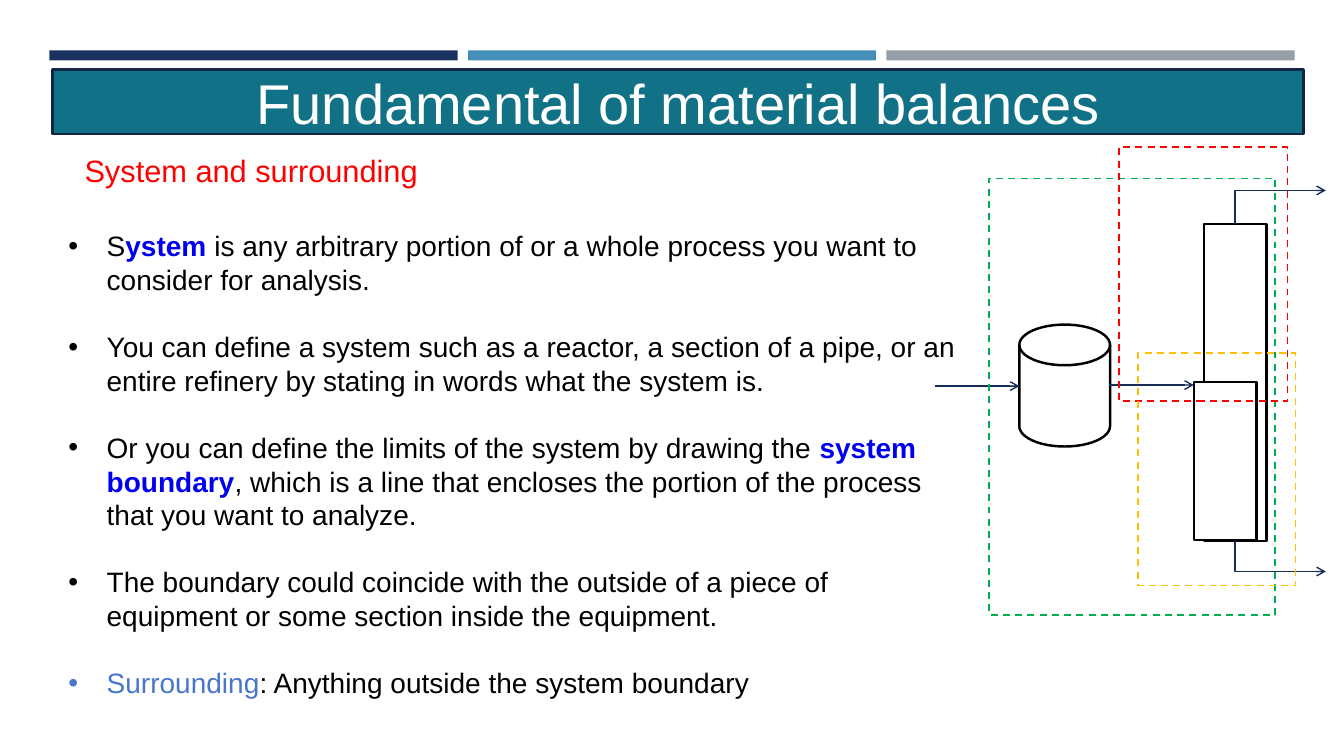
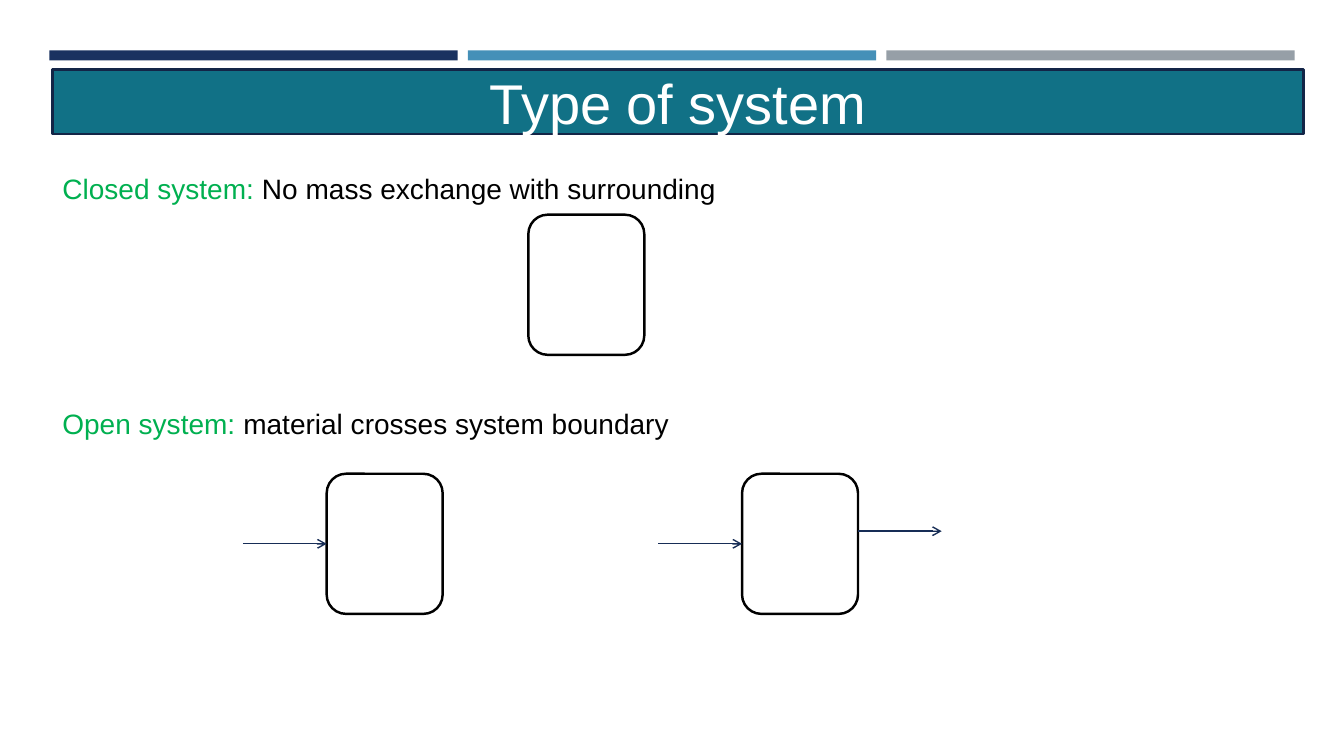
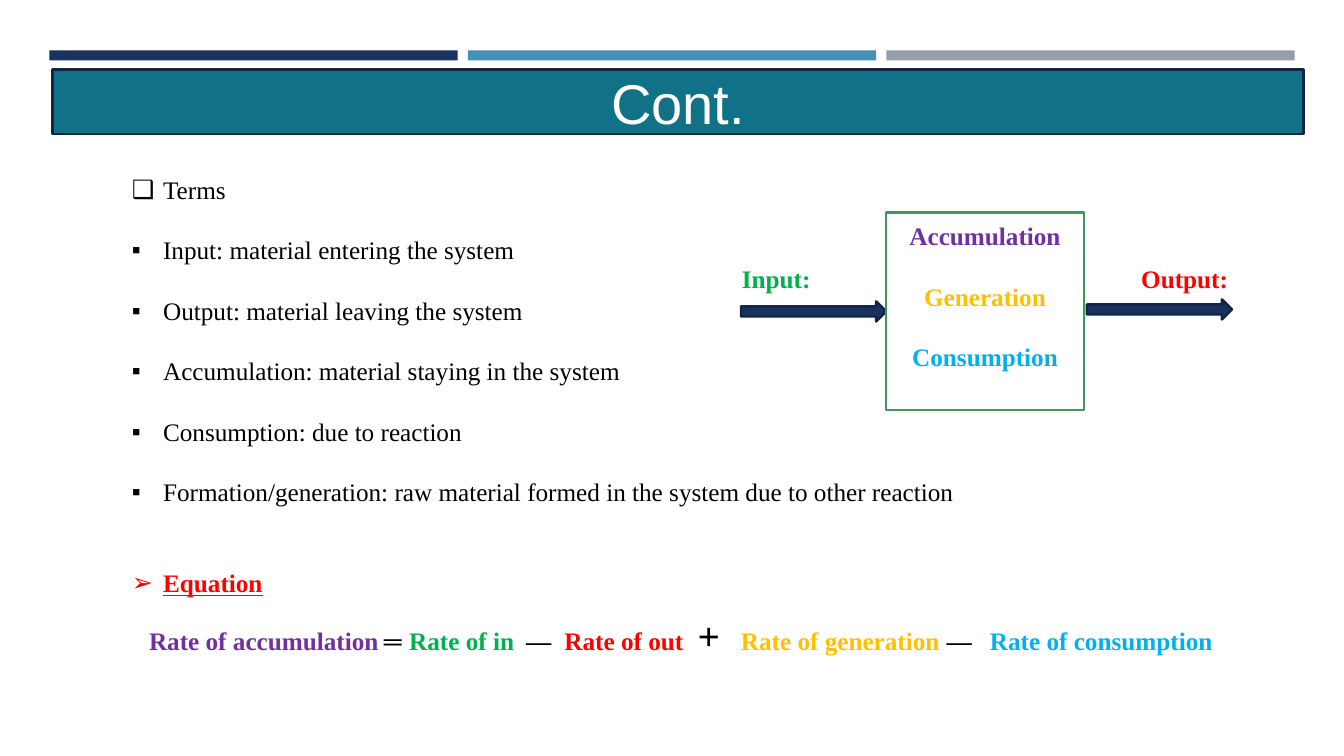
"""Three slides on material balances: system boundaries, system types and balance terms."""
from dataclasses import dataclass

from lxml.etree import SubElement
from pptx import Presentation
from pptx.dml.color import RGBColor
from pptx.enum.dml import MSO_LINE
from pptx.enum.shapes import MSO_CONNECTOR, MSO_SHAPE
from pptx.enum.text import MSO_ANCHOR, PP_ALIGN
from pptx.oxml.ns import qn
from pptx.util import Inches, Pt

BLACK = RGBColor(0x00, 0x00, 0x00)
WHITE = RGBColor(0xFF, 0xFF, 0xFF)
NAVY = RGBColor(0x1A, 0x32, 0x60)
NAVY_EDGE = RGBColor(0x13, 0x25, 0x47)
FLOW = RGBColor(0x17, 0x2D, 0x56)
SKY = RGBColor(0x45, 0x90, 0xB8)
GREY = RGBColor(0x96, 0x9F, 0xA7)
TEAL = RGBColor(0x11, 0x71, 0x86)
RED = RGBColor(0xFF, 0x00, 0x00)
GREEN = RGBColor(0x00, 0xB0, 0x50)
AMBER = RGBColor(0xFF, 0xC0, 0x00)
PURPLE = RGBColor(0x70, 0x30, 0xA0)
CYAN = RGBColor(0x00, 0xB0, 0xF0)
CYAN_DARK = RGBColor(0x19, 0xAA, 0xC9)
LINK_BLUE = RGBColor(0x00, 0x00, 0xEF)
SOFT_BLUE = RGBColor(0x48, 0x76, 0xCD)
BOX_GREEN = RGBColor(0x42, 0x95, 0x5F)

SANS, SERIF = "Arial", "Times New Roman"
LINE_PITCH = 1.2
EDGE = 1.75


@dataclass
class Run:
    text: str
    color: RGBColor = BLACK
    bold: bool = False
    underline: bool = False
    size: int = 0


@dataclass
class Para:
    runs: list
    bullet: str = ""
    blank_lines: int = 0


BANDS = [NAVY, SKY, GREY]
BAND_LEFT, BAND_TOP, BAND_WIDTH, BAND_HEIGHT, BAND_GAP = 0.49, 0.5, 4.05, 0.1, 0.1
TITLE_BOX = (0.52, 0.69, 12.41, 0.64)

SYSTEM_POINTS = [
    [Run("S"), Run("ystem ", LINK_BLUE, True),
     Run("is any arbitrary portion of or a whole process you want to consider for analysis.")],
    [Run("You can define a system such as a reactor, a section of a pipe, or an entire refinery "
         "by stating in words what the system is.")],
    [Run("Or you can define the limits of the system by drawing the "),
     Run("system boundary", LINK_BLUE, True),
     Run(", which is a line that encloses the portion of the process that you want to analyze.")],
    [Run("The boundary could coincide with the outside of a piece of equipment or some section "
         "inside the equipment.")],
    [Run("Surrounding", SOFT_BLUE), Run(": Anything outside the system boundary")],
]
EQUIPMENT = [
    (MSO_SHAPE.RECTANGLE, (11.94, 2.22, 0.62, 3.15)),
    (MSO_SHAPE.FLOWCHART_MAGNETIC_DISK, (10.11, 3.22, 0.9, 1.21)),
    (MSO_SHAPE.RECTANGLE, (11.84, 3.79, 0.62, 1.57)),
]
BOUNDARIES = [
    (GREEN, (9.81, 1.77, 2.84, 4.33)),
    (RED, (11.1, 1.46, 1.67, 2.52)),
    (AMBER, (11.29, 3.5, 1.56, 2.31)),
]
PROCESS_FLOWS = [((11, 3.82), (11.84, 3.82)), ((9.27, 3.83), (10.11, 3.83))]
COLUMN_OUTLETS = [((12.25, 2.22), (13.15, 1.89)), ((12.25, 5.37), (13.15, 5.67))]

SYSTEM_TYPES = [
    Para([Run("Closed system: ", GREEN), Run("No mass exchange with surrounding")]),
    Para([Run("Open system: ", GREEN), Run("material crosses system boundary")], blank_lines=6),
]
VESSEL_SIZE = (1.15, 1.39)
CLOSED_VESSEL = (5.24, 2.13)
OPEN_VESSELS = [(3.24, 4.7), (7.36, 4.7)]
FEED_LENGTH = 0.83
PRODUCT_FLOW = ((8.51, 5.27), (9.34, 5.27))

TERMS = [
    Para([Run("Terms")], "❑"),
    *[Para([Run(term)], "▪", 1) for term in (
        "Input: material entering the system",
        "Output: material leaving the system",
        "Accumulation: material staying in the system",
        "Consumption: due to reaction",
        "Formation/generation: raw material formed in the system due to other reaction",
    )],
    Para([Run("Equation", RED, True, True)], "➢", 2),
]
INSIDE_SYSTEM = [
    Para([Run("Accumulation", PURPLE, True)]),
    Para([Run("Generation", AMBER, True)], blank_lines=1),
    Para([Run("Consumptio", CYAN, True), Run("n", CYAN_DARK, True)], blank_lines=1),
]
EQUATION = [
    ("Rate of accumulation", PURPLE, 18, 0),
    ("═", BLACK, 18, 2.33),
    ("Rate of in", GREEN, 18, 2.58),
    ("—", BLACK, 18, 3.74),
    ("Rate of out", RED, 18, 4.12),
    ("+", BLACK, 28, 5.44),
    ("Rate of generation", AMBER, 18, 5.87),
    ("—", BLACK, 18, 7.91),
    ("Rate of consumption", CYAN, 18, 8.34),
]
STREAMS = [
    ("Input:", GREEN, (7.26, 2.56, 0.9, 0.4), (7.35, 2.99, 1.44, 0.2)),
    ("Output:", RED, (11.22, 2.56, 1.11, 0.4), (10.78, 2.97, 1.44, 0.2)),
]


def add_box(slide, preset, place, fill=None, edge=None, width=EDGE):
    shape = slide.shapes.add_shape(preset, *map(Inches, place))
    shape.shadow.inherit = False
    if fill is None:
        shape.fill.background()
    else:
        shape.fill.solid()
        shape.fill.fore_color.rgb = fill
    if edge is None:
        shape.line.fill.background()
    else:
        shape.line.color.rgb = edge
        shape.line.width = Pt(width)
    return shape


def style_font(font, run):
    font.color.rgb = run.color
    font.bold = run.bold
    font.underline = run.underline
    if run.size:
        font.size = Pt(run.size)


def set_bullet(paragraph, character, color, indent):
    properties = paragraph._p.get_or_add_pPr()
    properties.set("marL", str(Inches(indent)))
    properties.set("indent", str(-Inches(indent)))
    bullet_color = SubElement(properties, qn("a:buClr"))
    SubElement(bullet_color, qn("a:srgbClr"), val=str(color))
    SubElement(properties, qn("a:buFont"), typeface=SANS)
    SubElement(properties, qn("a:buChar"), char=character)


def set_tabs(paragraph, stops):
    tabs = SubElement(paragraph._p.get_or_add_pPr(), qn("a:tabLst"))
    for stop in stops:
        SubElement(tabs, qn("a:tab"), pos=str(Inches(stop)), algn="l")


def write(frame, paras, face, size, align=PP_ALIGN.LEFT, indent=0.0, tabs=()):
    frame.word_wrap = True
    for index, para in enumerate(paras):
        paragraph = frame.add_paragraph() if index else frame.paragraphs[0]
        paragraph.alignment = align
        pitch = LINE_PITCH * max([size] + [run.size for run in para.runs])
        paragraph.line_spacing = Pt(pitch)
        paragraph.space_before = Pt(pitch * para.blank_lines)
        if para.bullet:
            set_bullet(paragraph, para.bullet, para.runs[0].color, indent)
        if tabs:
            set_tabs(paragraph, tabs)
        paragraph.font.name = face
        paragraph.font.size = Pt(size)
        for part in para.runs:
            run = paragraph.add_run()
            run.text = part.text
            style_font(paragraph.font if len(para.runs) == 1 else run.font, part)


def add_text(slide, place, paras, face, size, **options):
    frame = slide.shapes.add_textbox(*map(Inches, place)).text_frame
    write(frame, paras, face, size, **options)


def add_flow(slide, start, end, kind=MSO_CONNECTOR.STRAIGHT):
    flow = slide.shapes.add_connector(kind, *map(Inches, (*start, *end)))
    flow.line.color.rgb = FLOW
    flow.line.width = Pt(1)
    SubElement(flow.line._get_or_add_ln(), qn("a:tailEnd"), type="arrow")
    SubElement(flow._element.spPr, qn("a:effectLst"))
    return flow


def add_outlet(slide, start, end):
    """Draw a flow that leaves vertically and then turns right."""
    (x0, y0), (x1, y1) = start, end
    middle_x, middle_y = (x0 + x1) / 2, (y0 + y1) / 2
    half_w, half_h = abs(y1 - y0) / 2, (x1 - x0) / 2
    rises = y1 < y0
    lift = half_h if rises else -half_h
    outlet = add_flow(slide, (middle_x + half_w, middle_y + lift),
                      (middle_x - half_w, middle_y - lift), MSO_CONNECTOR.ELBOW)
    properties = outlet._element.spPr
    properties.find(qn("a:xfrm")).set("rot", str((90 if rises else 270) * 60000))
    properties.find(qn("a:prstGeom")).set("prst", "bentConnector2")


def add_bands(slide, layout):
    for index, color in enumerate(BANDS):
        left = BAND_LEFT + index * (BAND_WIDTH + BAND_GAP)
        band = add_box(slide, MSO_SHAPE.RECTANGLE,
                       (left, BAND_TOP, BAND_WIDTH, BAND_HEIGHT), color)
        layout.shapes.element.append(band.element)


def add_titled_slide(deck, title):
    slide = deck.slides.add_slide(deck.slide_layouts[6])
    banner = add_box(slide, MSO_SHAPE.RECTANGLE, TITLE_BOX, TEAL, NAVY_EDGE)
    banner.text_frame.vertical_anchor = MSO_ANCHOR.MIDDLE
    write(banner.text_frame, [Para([Run(title, WHITE)])], SANS, 40, PP_ALIGN.CENTER)
    return slide


def build_balances(slide):
    add_text(slide, (0.74, 1.46, 10.5, 0.47),
             [Para([Run("System and surrounding", RED)])], SANS, 22)
    points = [Para(runs, "•", min(index, 1)) for index, runs in enumerate(SYSTEM_POINTS)]
    add_text(slide, (0.58, 2.22, 9.04, 4.81), points, SANS, 20, indent=0.38)
    for preset, place in EQUIPMENT:
        add_box(slide, preset, place, WHITE, BLACK)
    for start, end in COLUMN_OUTLETS:
        add_outlet(slide, start, end)
    for start, end in PROCESS_FLOWS:
        add_flow(slide, start, end)
    for color, place in BOUNDARIES:
        boundary = add_box(slide, MSO_SHAPE.RECTANGLE, place, None, color, 1.25)
        boundary.line.dash_style = MSO_LINE.DASH


def build_types(slide):
    add_text(slide, (0.52, 1.65, 11.45, 3.8), SYSTEM_TYPES, SANS, 20)
    for corner in [CLOSED_VESSEL, *OPEN_VESSELS]:
        vessel = add_box(slide, MSO_SHAPE.ROUNDED_RECTANGLE, (*corner, *VESSEL_SIZE),
                         WHITE, BLACK)
        if corner in OPEN_VESSELS:
            left, middle = corner[0], corner[1] + VESSEL_SIZE[1] / 2
            feed = add_flow(slide, (left - FEED_LENGTH, middle), (left, middle))
            feed.end_connect(vessel, 1)
    add_flow(slide, *PRODUCT_FLOW)


def build_terms(slide):
    add_text(slide, (1.21, 1.68, 9.23, 4.34), TERMS, SERIF, 18, indent=0.31)
    equation = [Run(("\t" if stop else "") + text, color, True, size=size)
                for text, color, size, stop in EQUATION]
    add_text(slide, (1.38, 6.02, 11.95, 0.57), [Para(equation)], SERIF, 18,
             tabs=[stop for *_, stop in EQUATION if stop])
    for label, color, label_place, arrow_place in STREAMS:
        add_box(slide, MSO_SHAPE.RIGHT_ARROW, arrow_place, NAVY, NAVY_EDGE)
        add_text(slide, label_place, [Para([Run(label, color, True)])], SERIF, 18)
    system = add_box(slide, MSO_SHAPE.RECTANGLE, (8.79, 2.11, 1.96, 1.96), WHITE, BOX_GREEN)
    system.text_frame.vertical_anchor = MSO_ANCHOR.MIDDLE
    system.text_frame.margin_bottom = Inches(0.35)
    write(system.text_frame, INSIDE_SYSTEM, SERIF, 18, PP_ALIGN.CENTER)


SLIDES = [
    ("Fundamental of material balances", build_balances),
    ("Type of system", build_types),
    ("Cont.", build_terms),
]


def main():
    deck = Presentation()
    deck.slide_width, deck.slide_height = Inches(13.33), Inches(7.5)
    for title, build in SLIDES:
        build(add_titled_slide(deck, title))
    add_bands(deck.slides[0], deck.slide_layouts[6])
    deck.save("out.pptx")


if __name__ == "__main__":
    main()
